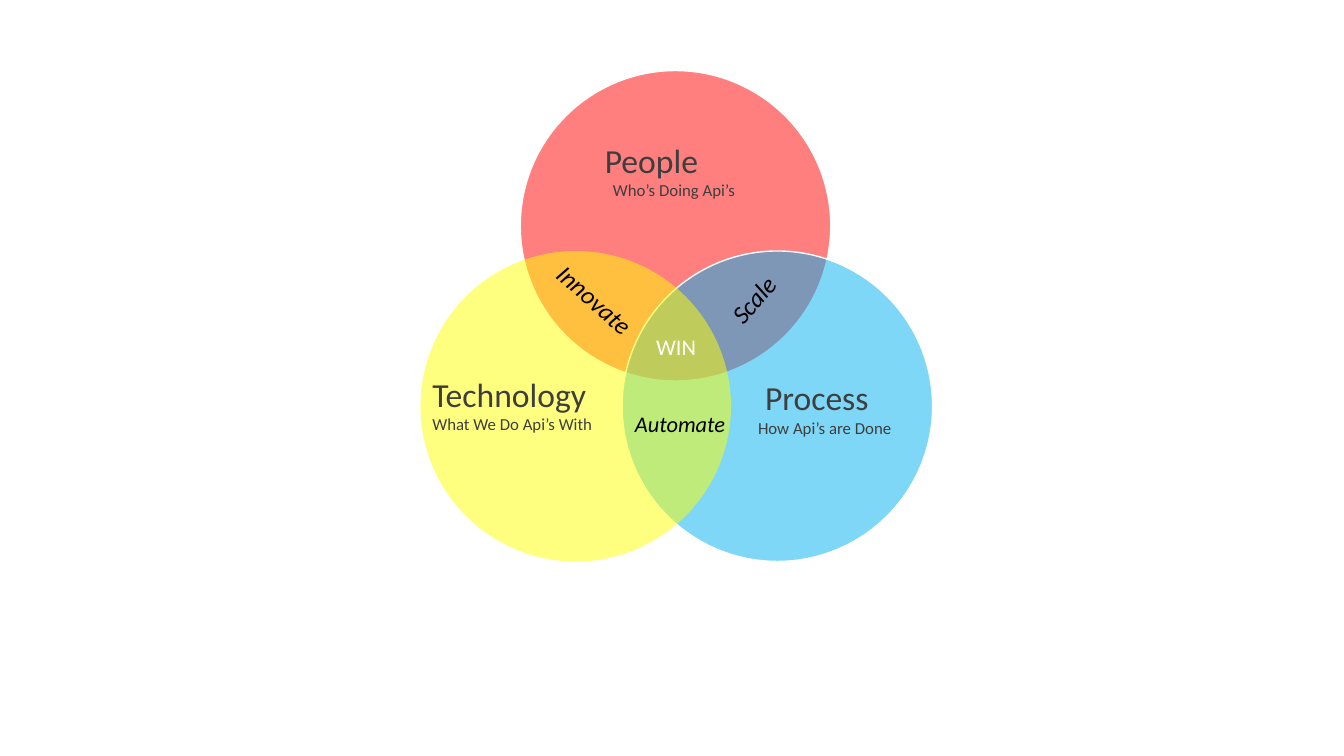
from dataclasses import dataclass

from lxml.etree import SubElement
from pptx import Presentation
from pptx.dml.color import RGBColor
from pptx.enum.shapes import MSO_SHAPE
from pptx.enum.text import MSO_ANCHOR, MSO_AUTO_SIZE, PP_ALIGN
from pptx.oxml.ns import qn
from pptx.util import Inches, Pt


@dataclass(frozen=True)
class Theme:
    """Colours, font and type sizes of the slide."""
    font: str = "Calibri"
    people: str = "FF0000"
    process: str = "00B0F0"
    technology: str = "FFFF00"
    heading: str = "3E3E3E"
    overlap: str = "000000"
    white: str = "FFFFFF"
    heading_size: int = 24
    caption_size: int = 12
    diagonal_size: int = 18
    center_size: int = 16
    opacity: int = 50
    diameter: float = 3.08


class VennSlide:
    """Draws the parts of a Venn diagram on one slide."""

    def __init__(self, slide, theme):
        """Keep the slide and its style."""
        self.shapes = slide.shapes
        self.theme = theme

    def format_runs(self, paragraph, size, color, italic=False):
        """Style every run of a paragraph."""
        for run in paragraph.runs:
            run.font.name = self.theme.font
            run.font.size = Pt(size)
            run.font.italic = italic
            run.font.color.rgb = RGBColor.from_string(color)

    def ellipse(self, left, top, width, height):
        """Add an ellipse without fill, line or shadow."""
        oval = self.shapes.add_shape(
            MSO_SHAPE.OVAL, Inches(left), Inches(top), Inches(width), Inches(height))
        oval.shadow.inherit = False
        oval.fill.background()
        oval.line.fill.background()
        return oval

    def circle(self, left, top, color, outlined=True):
        """Add one translucent circle of the diagram."""
        theme = self.theme
        disc = self.ellipse(left, top, theme.diameter, theme.diameter)
        disc.fill.solid()
        disc.fill.fore_color.rgb = RGBColor.from_string(color)
        tint = disc.fill._xPr.find(qn("a:solidFill"))[0]
        SubElement(tint, qn("a:alpha"), val=str(theme.opacity * 1000))
        if outlined:
            disc.line.color.rgb = RGBColor.from_string(theme.white)
            disc.line.width = Pt(1)

    def centered(self, holder, wording, size, color, italic):
        """Write one centred line in a shape."""
        frame = holder.text_frame
        frame.word_wrap = True
        frame.vertical_anchor = MSO_ANCHOR.MIDDLE
        frame.text = wording
        frame.paragraphs[0].alignment = PP_ALIGN.CENTER
        self.format_runs(frame.paragraphs[0], size, color, italic)

    def overlap(self, wording, left, top, width, size, rotation=0):
        """Label the overlap of two circles."""
        region = self.ellipse(left, top, width, 0.64)
        region.rotation = rotation
        self.centered(region, wording, size, self.theme.overlap, True)

    def text_box(self, left, top, width, height):
        """Add an empty text box that wraps."""
        box = self.shapes.add_textbox(
            Inches(left), Inches(top), Inches(width), Inches(height))
        box.text_frame.word_wrap = True
        return box

    def center(self, wording, left, top, width, height):
        """Label the middle where all circles meet."""
        core = self.text_box(left, top, width, height)
        self.centered(core, wording, self.theme.center_size, self.theme.white, False)

    def topic(self, name, caption, place, indent=0, line_height=None,
              caption_align=PP_ALIGN.LEFT):
        """Add the heading and caption of a circle."""
        theme = self.theme
        frame = self.text_box(*place).text_frame
        frame.auto_size = MSO_AUTO_SIZE.SHAPE_TO_FIT_TEXT
        frame.text = f"{name}\n{caption}"
        heading, detail = frame.paragraphs
        heading._p.get_or_add_pPr().set("marL", str(Inches(indent)))
        if line_height:
            heading.line_spacing = Pt(line_height)
        detail.alignment = caption_align
        self.format_runs(heading, theme.heading_size, theme.heading)
        self.format_runs(detail, theme.caption_size, theme.heading)


def main():
    """Build and save the slide."""
    deck = Presentation()
    deck.slide_width, deck.slide_height = Inches(13.33), Inches(7.5)
    theme = Theme()
    venn = VennSlide(deck.slides.add_slide(deck.slide_layouts[6]), theme)

    venn.circle(5.16, 0.7, theme.people)
    venn.circle(6.17, 2.49, theme.process)
    venn.circle(4.17, 2.49, theme.technology, outlined=False)

    venn.overlap("Innovate", 4.63, 2.65, 2.54, theme.diagonal_size, 41.7)
    venn.overlap("Scale", 6.05, 2.65, 2.84, theme.diagonal_size, 310.9)

    venn.topic("People", "Who’s Doing Api’s", (5.38, 1.28, 2.61, 0.77),
               indent=0.52, line_height=33, caption_align=PP_ALIGN.CENTER)
    venn.topic("Technology", "What We Do Api’s With", (4.19, 3.66, 6.67, 0.71))
    venn.topic("Process", "How Api’s are Done", (7.42, 3.69, 6.67, 0.71), indent=0.07)

    venn.center("WIN", 6.3, 3.2, 0.81, 0.47)
    venn.overlap("Automate", 5.5, 3.88, 2.49, theme.center_size)
    deck.save("out.pptx")


if __name__ == "__main__":
    main()
